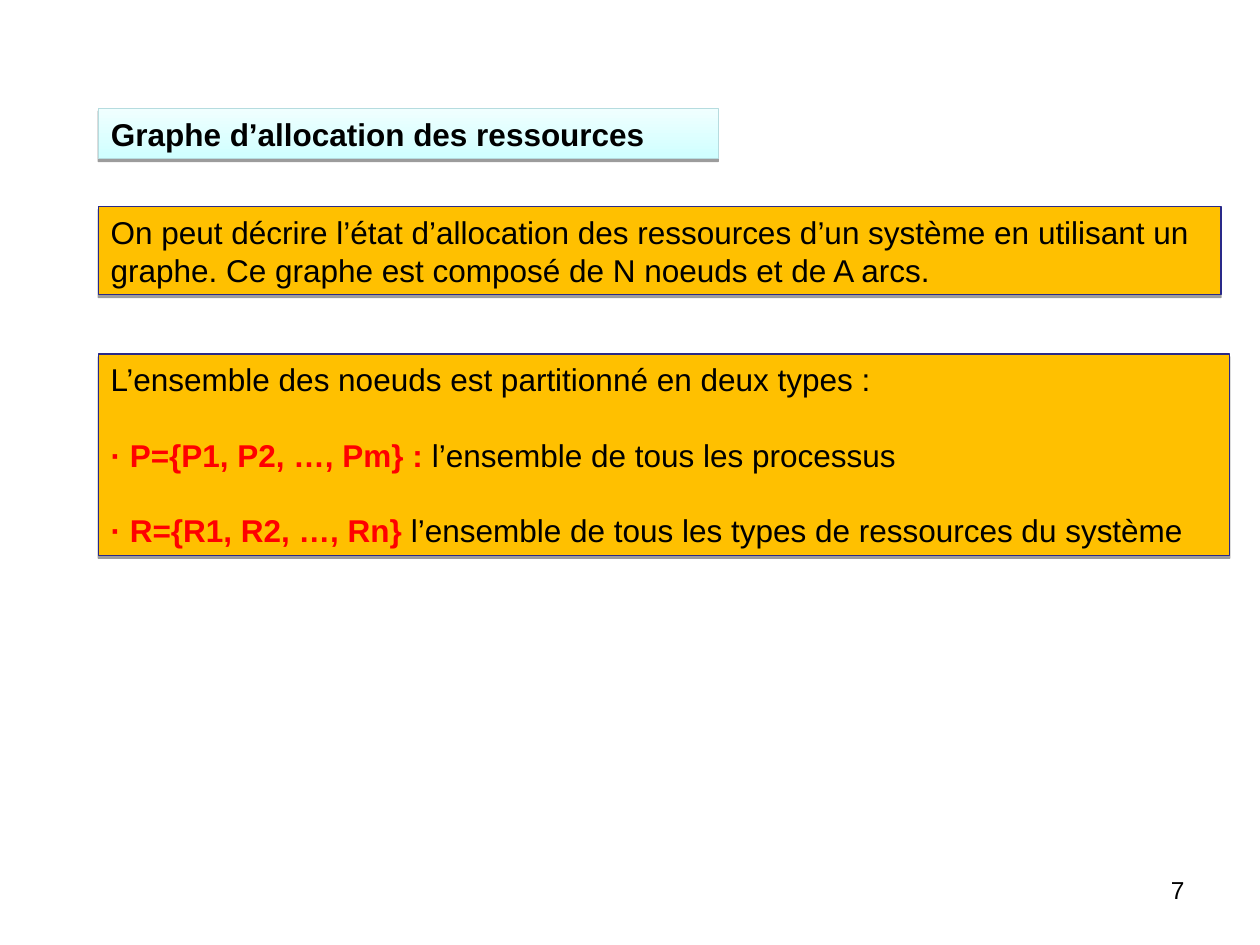
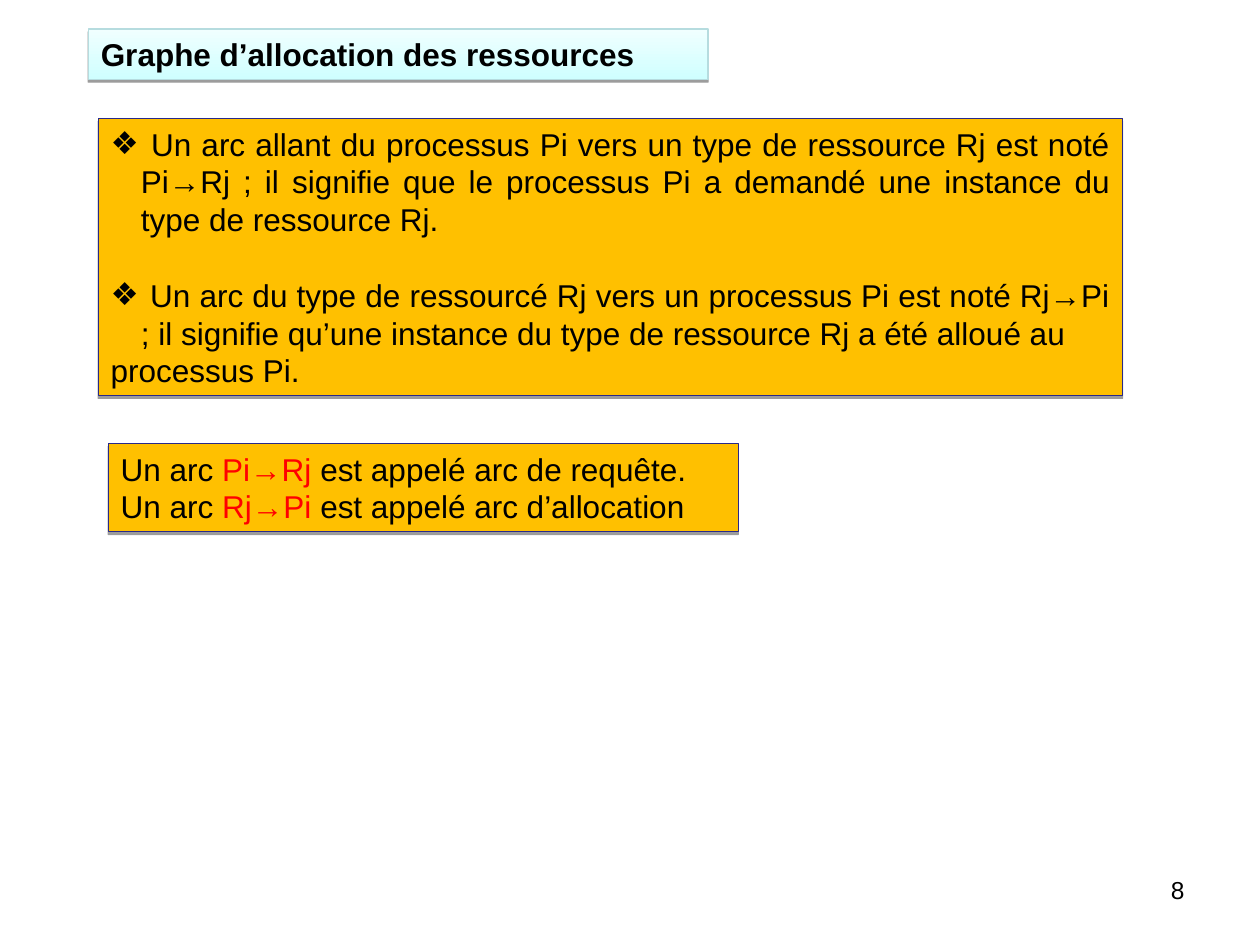
from lxml import etree
from pptx import Presentation
from pptx.dml.color import RGBColor
from pptx.enum.shapes import MSO_SHAPE
from pptx.enum.text import MSO_ANCHOR, MSO_AUTO_SIZE, PP_ALIGN
from pptx.oxml.ns import qn
from pptx.util import Inches, Pt

RECT = MSO_SHAPE.RECTANGLE
LEFT, RIGHT, JUSTIFY = PP_ALIGN.LEFT, PP_ALIGN.RIGHT, PP_ALIGN.JUSTIFY
TOP = MSO_ANCHOR.TOP
NO_AUTOFIT = MSO_AUTO_SIZE.NONE

COLORS = {
    "text": "000000",
    "accent": "FF0000",
    "box": "FFC000",
    "box_line": "292989",
    "title_bottom": "CFFFFF",
    "title_top": "F0FFFF",
    "title_line": "B6DCDF",
    "shadow": "000000",
}
FONT = "Arial"
TITLE = "Graphe d’allocation des ressources"
LINE_PITCH = Pt(21.6)
BULLET_INDENT = Inches(0.24)


def rgb(name):
    return RGBColor.from_string(COLORS[name])


def prepare_frame(sp):
    tf = sp.text_frame
    tf.word_wrap = True
    tf.auto_size = NO_AUTOFIT
    tf.vertical_anchor = TOP
    tf.margin_left = tf.margin_right = Inches(0.1)
    tf.margin_top = tf.margin_bottom = Inches(0.05)
    return tf


def add_bullet(p):
    pPr = p._p.get_or_add_pPr()
    pPr.set("marL", str(BULLET_INDENT))
    pPr.set("indent", str(-BULLET_INDENT))
    clr = etree.SubElement(pPr, qn("a:buClr"))
    etree.SubElement(clr, qn("a:srgbClr"), val=COLORS["text"])
    etree.SubElement(pPr, qn("a:buFont"), typeface=FONT)
    etree.SubElement(pPr, qn("a:buChar"), char="❖")


def write(tf, runs, size=18, bold=False, align=LEFT, gap=False, bullet=False):
    """Add a paragraph; runs holds plain strings and (text, colour, bold) tuples."""
    p = tf.add_paragraph() if tf.text else tf.paragraphs[0]
    p.alignment = align
    p.line_spacing = LINE_PITCH
    p.space_before = LINE_PITCH if gap else Pt(0)
    p.space_after = Pt(0)
    if bullet:
        add_bullet(p)
    for run in runs:
        text, color, strong = (run, "text", bold) if isinstance(run, str) else run
        r = p.add_run()
        r.text = text
        r.font.name = FONT
        r.font.size = Pt(size)
        r.font.bold = strong
        r.font.color.rgb = rgb(color)


def outline_with_shadow(sp, line):
    sp.line.color.rgb = rgb(line)
    sp.line.width = Pt(0.75)
    sp.shadow.inherit = False
    effects = sp._element.spPr.find(qn("a:effectLst"))
    shadow = etree.SubElement(effects, qn("a:outerShdw"), blurRad="0",
                              dist=str(Pt(1.6)), dir="5400000", rotWithShape="0")
    clr = etree.SubElement(shadow, qn("a:srgbClr"), val=COLORS["shadow"])
    etree.SubElement(clr, qn("a:alpha"), val="38000")


def add_title(s, left, top):
    sp = s.shapes.title
    sp.left, sp.top = Inches(left), Inches(top)
    sp.width, sp.height = Inches(4.92), Inches(0.4)
    sp.fill.gradient()
    sp.fill.gradient_angle = 90
    for stop, name in zip(sp.fill.gradient_stops, ("title_bottom", "title_top")):
        stop.color.rgb = rgb(name)
    outline_with_shadow(sp, "title_line")
    write(prepare_frame(sp), [TITLE], bold=True)


def add_box(s, left, top, width, height):
    sp = s.shapes.add_shape(RECT, Inches(left), Inches(top), Inches(width), Inches(height))
    sp.fill.solid()
    sp.fill.fore_color.rgb = rgb("box")
    outline_with_shadow(sp, "box_line")
    return prepare_frame(sp)


def add_page_number(s, number):
    sp = s.shapes.add_textbox(Inches(7.17), Inches(6.83), Inches(2.33), Inches(0.52))
    write(prepare_frame(sp), [str(number)], size=14, align=RIGHT)


def add_slide(prs, number, title_left, title_top):
    s = prs.slides.add_slide(prs.slide_layouts[5])
    add_title(s, title_left, title_top)
    add_page_number(s, number)
    return s


def add_nodes_slide(prs):
    s = add_slide(prs, 7, 0.78, 0.86)
    intro = add_box(s, 0.78, 1.64, 8.91, 0.7)
    write(intro, ["On peut décrire l’état d’allocation des ressources d’un système en "
                  "utilisant un graphe. Ce graphe est composé de N noeuds et de A arcs."])

    nodes = add_box(s, 0.78, 2.81, 8.98, 1.6)
    write(nodes, ["L’ensemble des noeuds est partitionné en deux types :"])
    for node_set, meaning in (
        ("· P={P1, P2, …, Pm} : ", "l’ensemble de tous les processus"),
        ("· R={R1, R2, …, Rn} ", "l’ensemble de tous les types de ressources du système"),
    ):
        write(nodes, [(node_set, "accent", True), meaning], gap=True)


def add_arcs_slide(prs):
    s = add_slide(prs, 8, 0.7, 0.23)
    arcs = add_box(s, 0.78, 0.94, 8.13, 2.2)
    write(arcs, [" Un arc allant du processus Pi vers un type de ressource Rj est noté "
                 "Pi→Rj ; il signifie que le processus Pi a demandé une instance du "
                 "type de ressource Rj."], align=JUSTIFY, bullet=True)
    write(arcs, [" Un arc du type de ressourcé Rj vers un processus Pi est noté Rj→Pi ; "
                 "il signifie qu’une instance du type de ressource Rj a été alloué au"],
          align=JUSTIFY, bullet=True, gap=True)
    write(arcs, ["processus Pi."], align=JUSTIFY)

    names = add_box(s, 0.86, 3.52, 5, 0.7)
    write(names, ["Un arc ", ("Pi→Rj ", "accent", False),
                  "est appelé arc de requête. Un arc ", ("Rj→Pi ", "accent", False),
                  "est appelé arc d’allocation"])


def main():
    prs = Presentation()
    prs.slide_width, prs.slide_height = Inches(10), Inches(7.5)
    add_nodes_slide(prs)
    add_arcs_slide(prs)
    prs.save("out.pptx")


if __name__ == "__main__":
    main()
